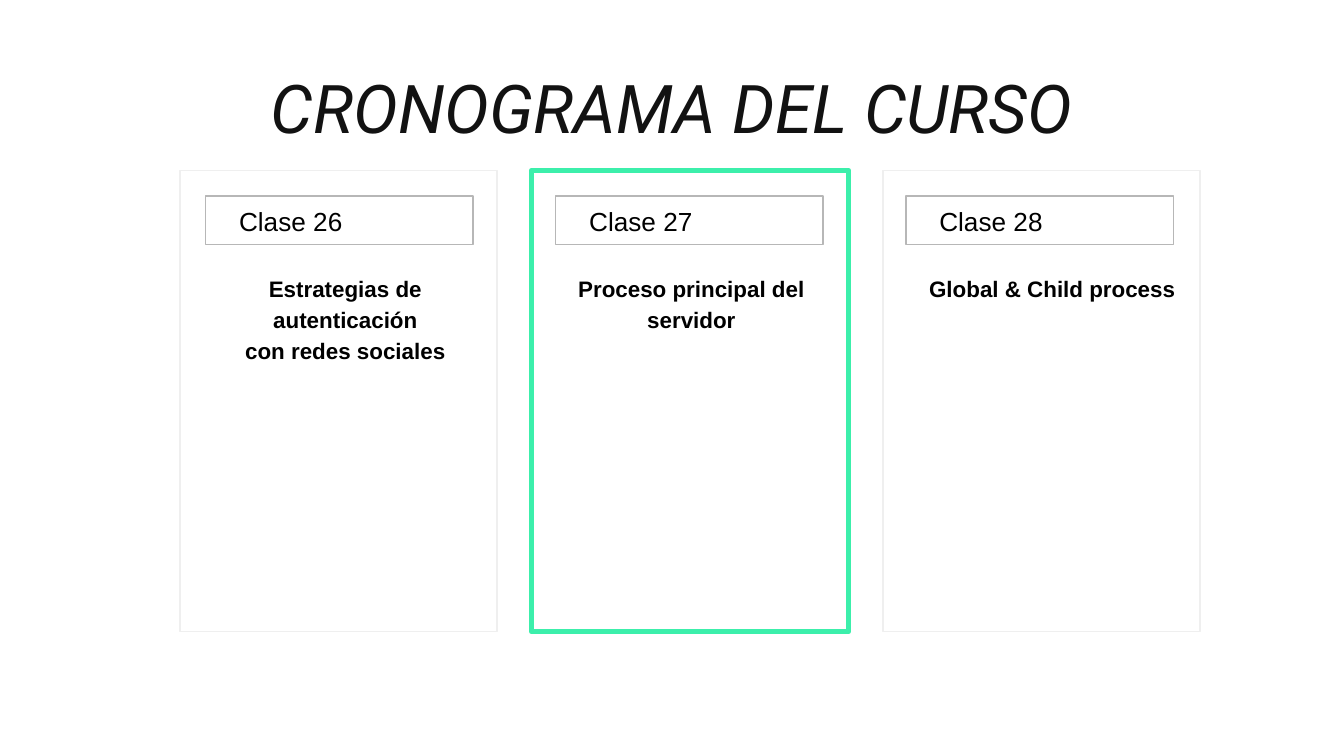
from dataclasses import dataclass

import pptx
import pptx.dml.color
import pptx.enum.shapes
import pptx.enum.text
import pptx.util

Inches = pptx.util.Inches
Align = pptx.enum.text.PP_ALIGN
Anchor = pptx.enum.text.MSO_ANCHOR


@dataclass(frozen=True)
class Theme:
    heading_font: str = "Roboto"
    body_font: str = "Arial"
    heading_color: str = "121212"
    text_color: str = "000000"
    card_line: str = "EFEFEF"
    current_line: str = "3CEFAB"
    label_line: str = "B7B7B7"
    heading_size: float = 36
    label_size: float = 14
    topic_size: float = 12
    thin: float = 0.75
    thick: float = 3


THEME = Theme()
SLIDE_WIDTH = 10
SLIDE_HEIGHT = SLIDE_WIDTH * 9 / 16
CARD_WIDTH, CARD_HEIGHT, CARD_TOP = 2.36, 3.43, 1.27
CARD_LEFTS = (1.34, 6.57)
LABEL_LEFTS = (1.53, 6.74)

CLASSES = [
    ("Clase 26", ["Estrategias de autenticación", "con redes sociales"], 2.26, False),
    ("Clase 27", ["Proceso principal del servidor"], 2.2, True),
    ("Clase 28", ["Global & Child process"], 2.36, False),
]


def apply(target, values):
    for name, value in values.items():
        setattr(target, name, value)


def rgb(color):
    return pptx.dml.color.RGBColor.from_string(color)


def spread(ends, index):
    first, last = ends
    return first + index * (last - first) / (len(CLASSES) - 1)


def write(frame, lines, font, size, color, align=Align.LEFT, spacing=1.0,
          anchor=Anchor.TOP, bold=False, italic=False):
    margin = Inches(0.1)
    apply(frame, {
        "word_wrap": True,
        "auto_size": pptx.enum.text.MSO_AUTO_SIZE.NONE,
        "vertical_anchor": anchor,
        "margin_left": margin, "margin_right": margin,
        "margin_top": margin, "margin_bottom": margin,
    })
    for index, line in enumerate(lines):
        paragraph = frame.paragraphs[0] if index == 0 else frame.add_paragraph()
        apply(paragraph, {"alignment": align, "line_spacing": spacing})
        run = paragraph.add_run()
        run.text = line
        apply(run.font, {"name": font, "size": pptx.util.Pt(size),
                         "bold": bold, "italic": italic})
        run.font.color.rgb = rgb(color)


def add_frame(slide, left, top, width, height, color, weight):
    frame = slide.shapes.add_shape(
        pptx.enum.shapes.MSO_SHAPE.RECTANGLE,
        Inches(left), Inches(top), Inches(width), Inches(height))
    frame.shadow.inherit = False
    frame.fill.background()
    frame.line.color.rgb = rgb(color)
    frame.line.width = pptx.util.Pt(weight)


def add_text(slide, left, top, width, height, lines, **style):
    box = slide.shapes.add_textbox(
        Inches(left), Inches(top), Inches(width), Inches(height))
    write(box.text_frame, lines, **style)


def add_heading(slide, left, top, width, height):
    heading = slide.shapes.title
    apply(heading, {"left": Inches(left), "top": Inches(top),
                    "width": Inches(width), "height": Inches(height)})
    write(heading.text_frame, ["CRONOGRAMA DEL CURSO"], THEME.heading_font,
          THEME.heading_size, THEME.heading_color, align=Align.CENTER,
          anchor=Anchor.MIDDLE, italic=True)


def add_class_card(slide, left, top, width, height, inset,
                   label, topic, topic_width, current):
    outline = THEME.current_line if current else THEME.card_line
    weight = THEME.thick if current else THEME.thin
    label_left = left + inset
    add_frame(slide, left, top, width, height, outline, weight)
    add_frame(slide, label_left, top + 0.19, 1.99, 0.36, THEME.label_line, THEME.thin)
    add_text(slide, label_left + 0.15, top + 0.16, 1.35, 0.4, [label],
             font=THEME.body_font, size=THEME.label_size, color=THEME.text_color)
    add_text(slide, label_left - 0.09, top + 0.65, topic_width, 0.46, topic,
             font=THEME.body_font, size=THEME.topic_size, color=THEME.text_color,
             align=Align.CENTER, spacing=1.15, bold=True)


def main():
    deck = pptx.Presentation()
    apply(deck, {"slide_width": Inches(SLIDE_WIDTH),
                 "slide_height": Inches(SLIDE_HEIGHT)})
    slide = deck.slides.add_slide(deck.slide_layouts.get_by_name("Title Only"))
    add_heading(slide, 1.53, 0.25, 6.94, 1.08)
    for index, (label, topic, topic_width, current) in enumerate(CLASSES):
        left = spread(CARD_LEFTS, index)
        inset = spread(LABEL_LEFTS, index) - left
        add_class_card(slide, left, CARD_TOP, CARD_WIDTH, CARD_HEIGHT, inset,
                       label, topic, topic_width, current)
    deck.save("out.pptx")


if __name__ == "__main__":
    main()
